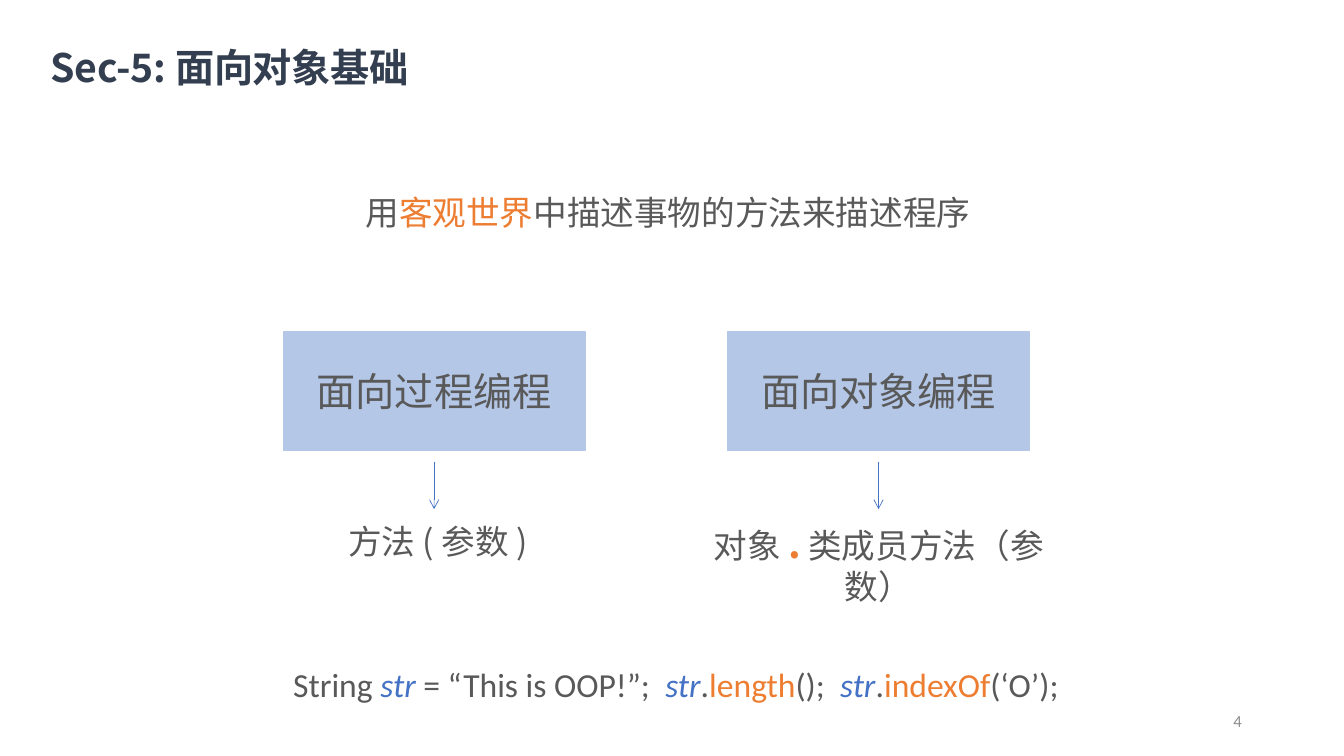
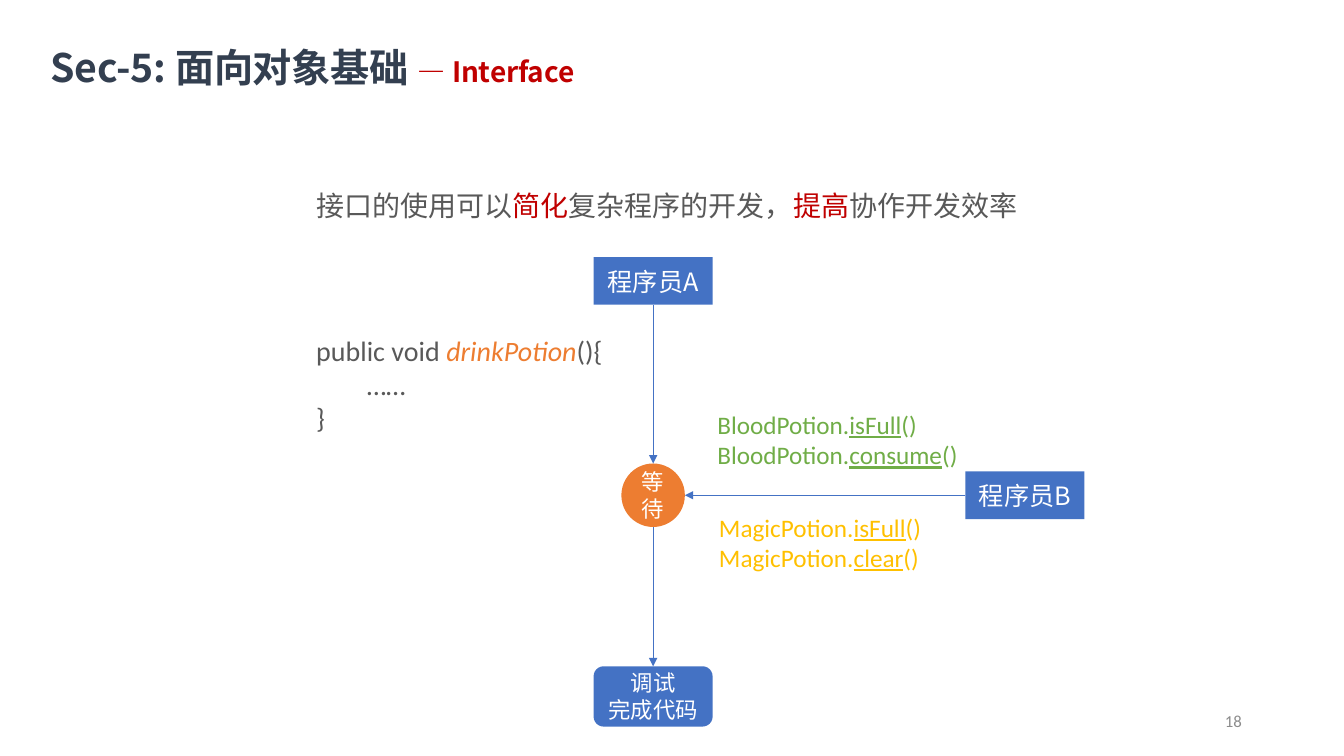
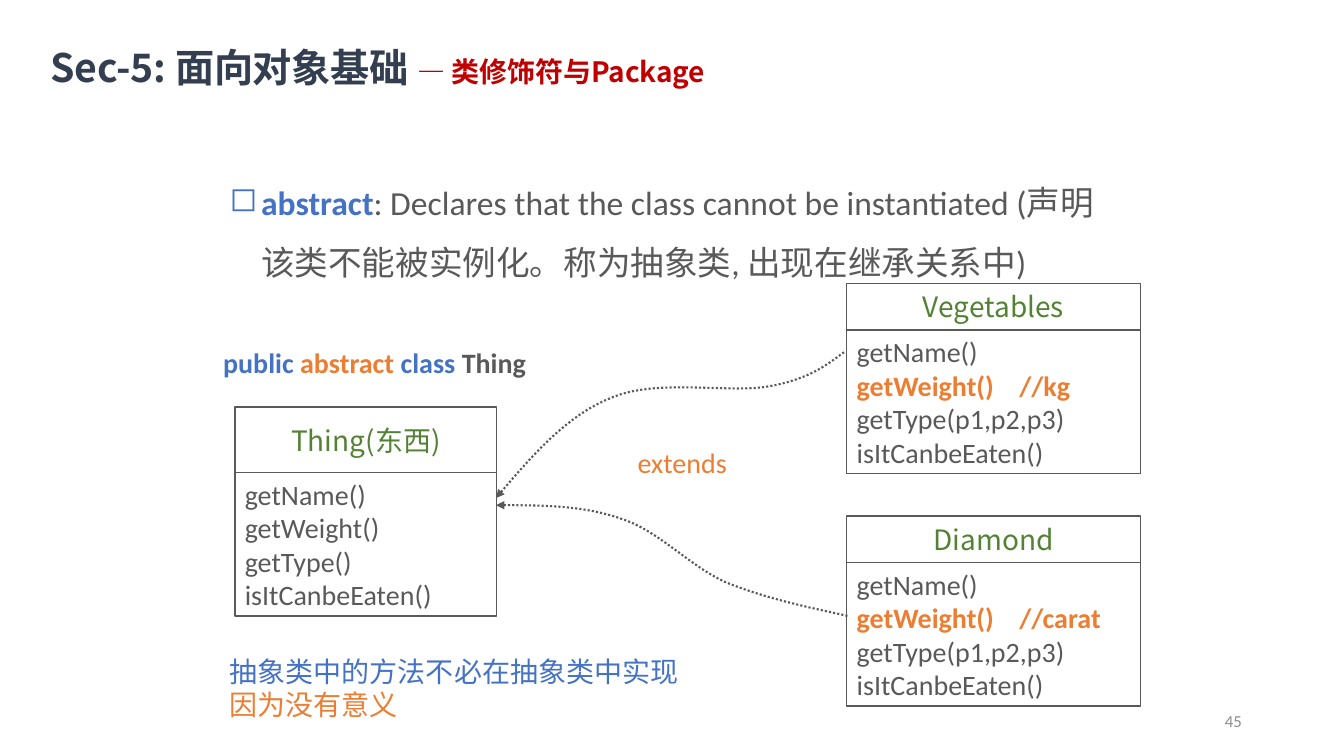
from lxml import etree
from pptx import Presentation
from pptx import util as u
from pptx.dml.color import RGBColor
from pptx.enum import dml, shapes, text
from pptx.oxml.ns import qn

Cm, Pt = u.Cm, u.Pt
BOX = shapes.MSO_SHAPE
LEFT, MID, RIGHT = text.PP_ALIGN.LEFT, text.PP_ALIGN.CENTER, text.PP_ALIGN.RIGHT
HAN, LATIN = "Noto Sans CJK SC", "Calibri"
GRAY, BLUE, PALE = "595959", "4472C4", "B4C7E7"
ORANGE, RED, NAVY = "ED7D31", "C00000", "333F50"
GREEN, MOSS, GOLD, WHITE = "70AD47", "548235", "FFC000", "FFFFFF"
BOLD, ITAL, UNDER = {"bold": True}, {"italic": True}, {"under": True}


def rgb(code):
    return RGBColor.from_string(code)


def curve(start, *parts):
    points = [start]
    for a, b, end in parts:
        first = points[-1]
        for step in range(1, 17):
            t = step / 16
            s = 1 - t
            points.append(tuple(
                s**3 * p + 3 * s * s * t * q + 3 * s * t * t * r + t**3 * e
                for p, q, r, e in zip(first, a, b, end)))
    return points


class Deck:
    def __init__(self):
        self.show = Presentation()
        self.show.slide_width, self.show.slide_height = Cm(33.87), Cm(19.05)

    def page(self, number, topic=None):
        self.slide = self.show.slides.add_slide(self.show.slide_layouts[5])
        self.items = self.slide.shapes
        title = self.items.title
        title.left, title.top, title.width, title.height = Cm(1.27), Cm(1.07), Cm(18.5), Cm(1.22)
        frame = title.text_frame
        frame.margin_left = frame.margin_right = frame.margin_bottom = 0
        frame.margin_top = Cm(0.03)
        frame.vertical_anchor = text.MSO_ANCHOR.TOP
        frame.auto_size = text.MSO_AUTO_SIZE.NONE
        runs = [("Sec-5: 面向对象基础" + (" " if topic else ""), NAVY, BOLD)]
        if topic:
            runs.append(("— " + topic, RED, {"bold": True, "size": 20}))
        self.put(frame, [runs], 28, HAN, NAVY)
        for run in frame.paragraphs[0].runs:
            run._r.get_or_add_rPr().set("spc", "-10")
        self.label(23.93, 17.65, 7.62, 1.02, [[str(number)]], 12, LATIN, "8C8C8C", RIGHT,
                   text.MSO_ANCHOR.MIDDLE)

    def put(self, frame, lines, size, face, color, align=LEFT):
        for index, line in enumerate(lines):
            para = frame.add_paragraph() if index else frame.paragraphs[0]
            para.alignment = align
            for part in line:
                words, tint, style = part if isinstance(part, tuple) else (part, color, {})
                run = para.add_run()
                run.text = words
                font = run.font
                font.name, font.size = face, Pt(style.get("size", size))
                font.color.rgb = rgb(tint)
                font.bold = style.get("bold")
                font.italic = style.get("italic")
                font.underline = style.get("under")
                etree.SubElement(run._r.get_or_add_rPr(), qn("a:ea"), typeface=HAN)

    def label(self, x, y, w, h, lines, size, face=LATIN, color=GRAY, align=LEFT,
              anchor=text.MSO_ANCHOR.TOP):
        frame = self.items.add_textbox(Cm(x), Cm(y), Cm(w), Cm(h)).text_frame
        frame.word_wrap = True
        frame.vertical_anchor = anchor
        self.put(frame, lines, size, face, color, align)
        return frame

    def point(self, x, y, w, h, line, size):
        para = self.label(x, y, w, h, [line], size).paragraphs[0]
        para.line_spacing = 1.5
        props = para._p.get_or_add_pPr()
        props.set("marL", str(Cm(0.79)))
        props.set("indent", str(-Cm(0.79)))
        etree.SubElement(props, qn("a:buChar"), char="◻")

    def box(self, kind, x, y, w, h, lines, size, fill=None, line=None, face=HAN,
            color=WHITE, align=MID):
        shape = self.items.add_shape(kind, Cm(x), Cm(y), Cm(w), Cm(h))
        shape.shadow.inherit = False
        if fill:
            shape.fill.solid()
            shape.fill.fore_color.rgb = rgb(fill)
        else:
            shape.fill.background()
        if line:
            shape.line.color.rgb, shape.line.width = rgb(line), Pt(1)
        else:
            shape.line.fill.background()
        frame = shape.text_frame
        frame.word_wrap = True
        frame.vertical_anchor = text.MSO_ANCHOR.MIDDLE
        self.put(frame, lines, size, face, color, align)
        return shape

    def card(self, x, y, w, head, name, lines):
        self.box(BOX.RECTANGLE, x, y, w, head, [[name]], 20, None, GRAY, HAN, MOSS)
        self.box(BOX.RECTANGLE, x, y + head, w, 3.61, lines, 20, None, GRAY, LATIN, GRAY, LEFT)

    def tip(self, shape, end, kind):
        line = shape._element.spPr.find(qn("a:ln"))
        etree.SubElement(line, qn(end), type=kind)

    def arrow(self, x1, y1, x2, y2, kind="triangle", begin=None, end=None):
        link = self.items.add_connector(
            shapes.MSO_CONNECTOR.STRAIGHT, Cm(x1), Cm(y1), Cm(x2), Cm(y2))
        if begin:
            link.begin_connect(*begin)
        if end:
            link.end_connect(*end)
        link.line.color.rgb, link.line.width = rgb(BLUE), Pt(0.5)
        self.tip(link, "a:tailEnd", kind)
        etree.SubElement(link._element.spPr, qn("a:effectLst"))

    def trail(self, points):
        spots = [(Cm(x), Cm(y)) for x, y in points]
        pen = self.items.build_freeform(*spots[0])
        pen.add_line_segments(spots[1:], close=False)
        shape = pen.convert_to_shape()
        shape.shadow.inherit = False
        shape.fill.background()
        shape.line.color.rgb, shape.line.width = rgb(GRAY), Pt(1.5)
        shape.line.dash_style = dml.MSO_LINE.ROUND_DOT
        self.tip(shape, "a:headEnd", "triangle")


def basics(deck):
    deck.page(4)
    deck.label(8.96, 4.72, 16.4, 1.45, [[
        "用", ("客观世界", ORANGE, {}), "中描述事物的方法来描述程序"]], 24, HAN)
    for x, name in ((7.14, "面向过程编程"), (18.34, "面向对象编程")):
        deck.box(BOX.RECTANGLE, x, 8.35, 7.6, 3, [[name]], 28, PALE, PALE, color=GRAY)
        deck.arrow(x + 3.8, 11.63, x + 3.8, 12.83, "arrow")
    deck.label(5.94, 13, 10.2, 1.27, [["方法 ( 参数 )"]], 24, HAN, align=MID)
    deck.label(17.04, 12.95, 10.2, 1.45, [[
        "对象 ", (".", ORANGE, {"bold": True, "size": 28}), " 类成员方法（参数）"]],
        24, HAN, align=MID)
    name = ("str", BLUE, ITAL)
    deck.label(7.14, 16.61, 19.8, 1.27, [[
        "String ", ("str ", BLUE, ITAL), "= “This is OOP!”;  ", name, ".",
        ("length", ORANGE, {}), "();  ", name, ".", ("indexOf", ORANGE, {}), "(‘O’);"]], 24)


def contract(deck):
    deck.page(18, "Interface")
    deck.label(7.72, 4.62, 20.4, 1.12, [[
        "接口的使用可以", ("简化", RED, {}), "复杂程序的开发，", ("提高", RED, {}),
        "协作开发效率"]], 20, HAN)
    axis, row = 16.46, 12.48
    first = deck.box(BOX.RECTANGLE, axis - 1.5, 6.48, 3, 1.2, [["程序员A"]], 18, BLUE)
    deck.box(BOX.OVAL, axis - 0.8, row - 0.8, 1.6, 1.6, [["等待"]], 16, ORANGE)
    other = deck.box(BOX.RECTANGLE, 24.33, row - 0.6, 3, 1.2, [["程序员B"]], 18, BLUE)
    final = deck.box(BOX.ROUNDED_RECTANGLE, axis - 1.5, 16.79, 3, 1.52,
                     [["调试"], ["完成代码"]], 16, BLUE)
    deck.arrow(axis, 7.68, axis, row - 0.8, begin=(first, 2))
    deck.arrow(24.33, row, axis + 0.8, row, begin=(other, 1))
    deck.arrow(axis, row + 0.8, axis, 16.79, end=(final, 0))
    deck.label(7.72, 8.28, 11.8, 2.82, [
        ["public void ", ("drinkPotion", ORANGE, ITAL), "(){"], ["        ……"], ["}"]], 20)
    for x, y, color, owner, calls in (
            (17.83, 10.19, GREEN, "BloodPotion.", ("isFull", "consume")),
            (17.87, 12.78, GOLD, "MagicPotion.", ("isFull", "clear"))):
        deck.label(x, y, 7.2, 1.8, [[owner, (call, color, UNDER), "()"] for call in calls],
                   18, color=color)


def classes(deck):
    deck.page(45, "类修饰符与Package")
    deck.point(5.54, 3.94, 22.6, 3.18, [
        ("abstract", BLUE, BOLD),
        ": Declares that the class cannot be instantiated "
        "(声明该类不能被实例化。称为抽象类, 出现在继承关系中)"], 24)
    deck.label(4.93, 8.59, 9.02, 1.12, [[
        ("public ", BLUE, BOLD), ("abstract ", ORANGE, BOLD), ("class ", BLUE, BOLD),
        ("Thing", GRAY, BOLD)]], 20, align=MID)
    deck.card(5.92, 10.26, 6.6, 1.65, "Thing(东西)", [
        ["getName()"], ["getWeight()"], ["getType()"], ["isItCanbeEaten()"]])
    for y, name, unit in ((7.14, "Vegetables", "kg"), (13, "Diamond", "carat")):
        deck.card(21.34, y, 7.4, 1.18, name, [
            ["getName()"], [("getWeight()    //" + unit, ORANGE, BOLD)],
            ["getType(p1,p2,p3)"], ["isItCanbeEaten()"]])
    deck.trail(curve(
        (12.5, 12.55), ((13.39, 11.51), (14.27, 10.46), (15.44, 10.01)),
        ((16.59, 9.53), (18.44, 9.93), (19.41, 9.73)),
        ((20.4, 9.55), (20.85, 9.19), (21.29, 8.86))))
    deck.trail(curve(
        (12.5, 12.73), ((13.59, 12.73), (14.68, 12.73), (15.62, 13.06)),
        ((16.59, 13.36), (17.32, 14.22), (18.26, 14.66)),
        ((19.23, 15.06), (20.29, 15.29), (21.36, 15.52))))
    deck.label(15.82, 11.1, 3.81, 1.12, [["extends"]], 20, color=ORANGE)
    deck.label(5.54, 16.36, 15.4, 1.96, [
        [("抽象类中的方法不必在抽象类中实现", BLUE, {})], [("因为没有意义", ORANGE, {})]], 20, HAN)


def main():
    deck = Deck()
    basics(deck)
    contract(deck)
    classes(deck)
    deck.show.save("out.pptx")


if __name__ == "__main__":
    main()
